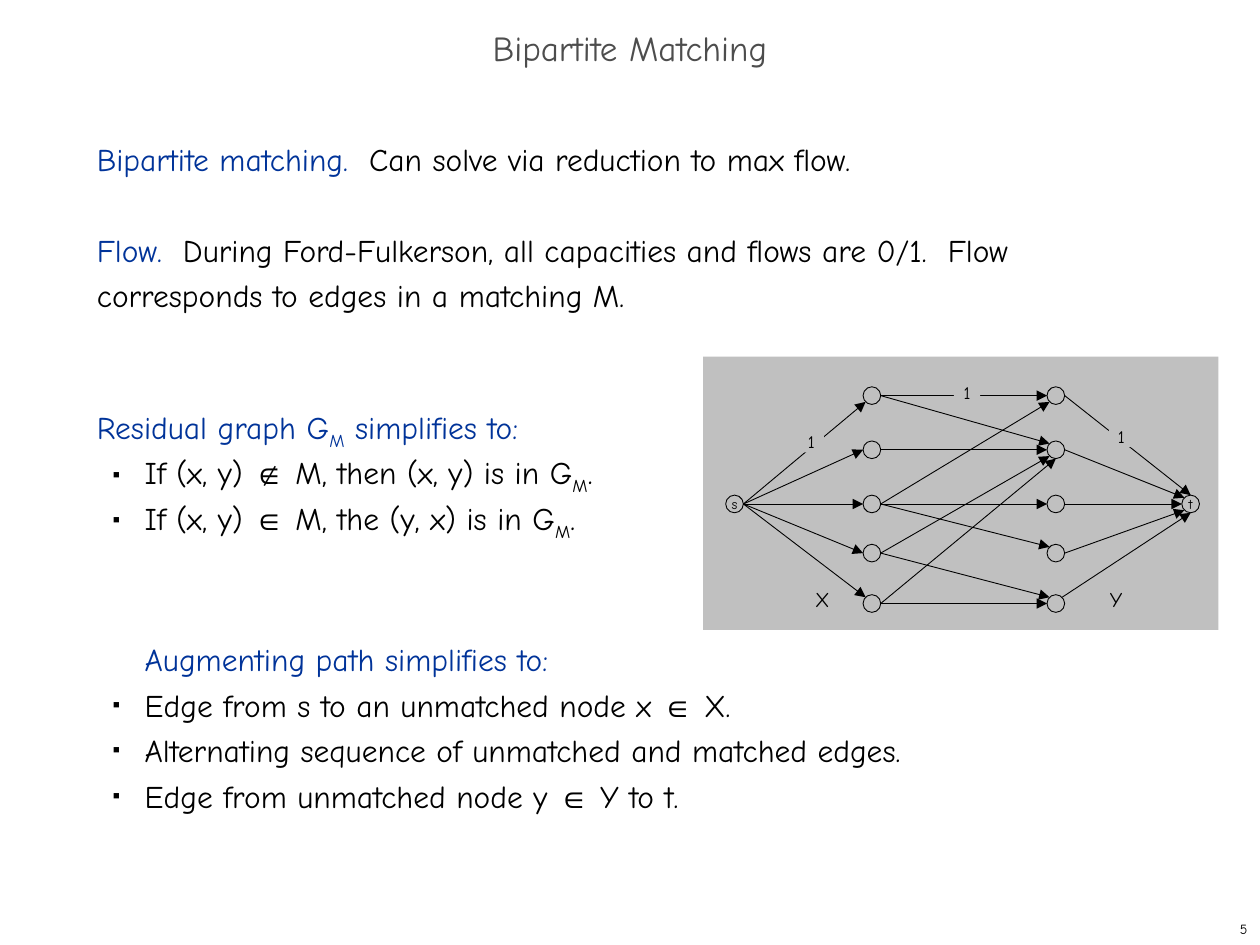
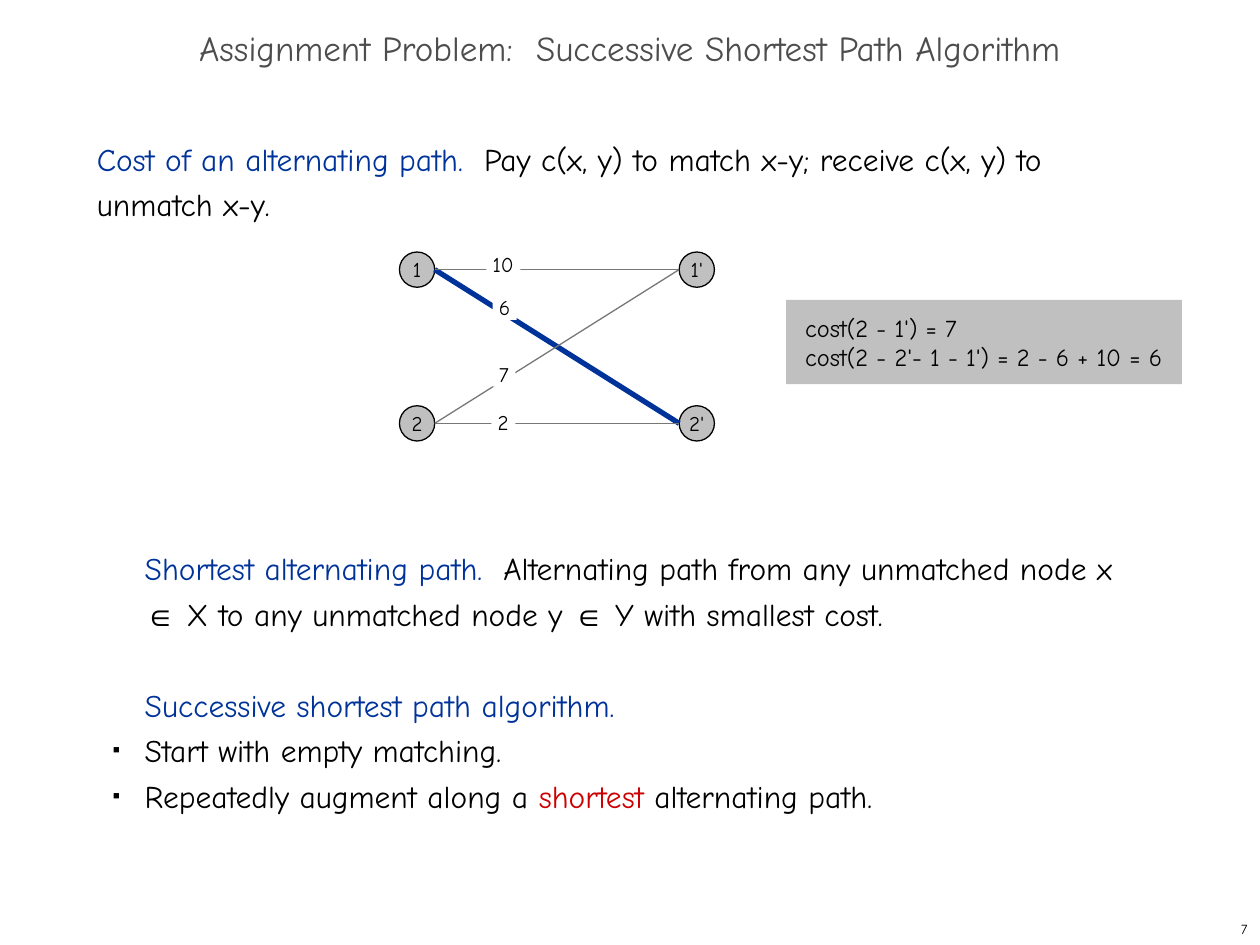
import dataclasses
import enum
import typing

import lxml.etree
import pptx
import pptx.dml.color
import pptx.enum.shapes
import pptx.enum.text
import pptx.oxml.ns
import pptx.slide
import pptx.text.text
import pptx.util

RGB = pptx.dml.color.RGBColor
Preset = pptx.enum.shapes.MSO_SHAPE
Align = pptx.enum.text.PP_ALIGN
Anchor = pptx.enum.text.MSO_ANCHOR
AutoSize = pptx.enum.text.MSO_AUTO_SIZE
qn = pptx.oxml.ns.qn

BLACK = RGB(0x00, 0x00, 0x00)
WHITE = RGB(0xFF, 0xFF, 0xFF)
SILVER = RGB(0xC0, 0xC0, 0xC0)
TITLE_GRAY = RGB(0x4D, 0x4D, 0x4D)
EDGE_GRAY = RGB(0x77, 0x77, 0x77)
TERM_BLUE = RGB(0x00, 0x33, 0x99)
ACCENT_RED = RGB(0xCC, 0x00, 0x00)

HAND_FONT = "Comic Neue"
SYMBOL_FONT = "Arial"
BODY_LINE = 26
SLIDE_WIDTH = pptx.util.Inches(10)
SLIDE_HEIGHT = pptx.util.Inches(7.5)
COLUMN = SLIDE_WIDTH / 100
ROW = SLIDE_HEIGHT / 75


class Box(typing.NamedTuple):
    column: float
    row: float
    columns: float
    rows: float


class Span(typing.NamedTuple):
    text: str
    color: RGB = BLACK
    font: str = HAND_FONT
    subscript: bool = False


@dataclasses.dataclass(frozen=True)
class Statement:
    spans: tuple[Span, ...]
    blank_lines_above: int = 0
    indented: bool = False
    bulleted: bool = False


@dataclasses.dataclass(frozen=True)
class Look:
    size: float
    color: RGB = BLACK
    align: Align = Align.LEFT
    anchor: Anchor = Anchor.TOP
    inset: tuple[float, float] = (0.1, 0.05)
    wrap: bool = False
    grow: bool = False
    fill: typing.Optional[RGB] = None
    outline: float = 0
    line_spacing: float = 1.0


class Side(enum.Enum):
    TOP = (0, -1)
    LEFT = (-1, 0)
    BOTTOM = (0, 1)
    RIGHT = (1, 0)
    UPPER_LEFT = (-0.71, -0.71)
    LOWER_LEFT = (-0.71, 0.71)
    UPPER_RIGHT = (0.71, -0.71)


class Node(typing.NamedTuple):
    column: float
    row: float
    radius: float
    label: str = ""

    def box(self) -> Box:
        return Box(self.column - self.radius, self.row - self.radius,
                   2 * self.radius, 2 * self.radius)

    def point(self, side: Side) -> tuple[int, int]:
        across, down = side.value
        return (round((self.column + across * self.radius) * COLUMN),
                round((self.row + down * self.radius) * ROW))


class Edge(typing.NamedTuple):
    start: str
    end: str
    arrival: Side = Side.LEFT
    departure: Side = Side.RIGHT
    color: RGB = BLACK
    width: float = 0.5
    arrow: bool = True


TITLE = Look(20, TITLE_GRAY, Align.CENTER, Anchor.MIDDLE, wrap=True, line_spacing=0.7)
PAGE_NUMBER = Look(8, align=Align.RIGHT, anchor=Anchor.MIDDLE, wrap=True)
BODY = Look(18, wrap=True)
PANEL = Look(12, fill=SILVER)
FLOW_NODE = Look(8, align=Align.CENTER, anchor=Anchor.MIDDLE, fill=SILVER, outline=0.5)
CAPACITY = Look(10, align=Align.CENTER, inset=(0, 0), wrap=True, grow=True, fill=SILVER)
PART_NAME = Look(12, grow=True)
MATCH_NODE = Look(12, align=Align.CENTER, anchor=Anchor.MIDDLE, fill=SILVER, outline=0.75)
COST = Look(12, inset=(0.05, 0), grow=True, fill=WHITE)
COST_SUMMARY = Look(14, anchor=Anchor.MIDDLE, inset=(0.15, 0.1), grow=True, fill=SILVER)

IN = Span("∈", font=SYMBOL_FONT)
NOT_IN = Span("∉", font=SYMBOL_FONT)
SUB_M = Span("M", subscript=True)

MATCHING_BODY = (
    Statement((Span("Bipartite matching.  ", TERM_BLUE),
               Span("Can solve via reduction to max flow."))),
    Statement((Span("Flow.  ", TERM_BLUE),
               Span("During Ford-Fulkerson, all capacities and flows are 0/1.  "
                    "Flow corresponds to edges in a matching M.")), 1),
    Statement((Span("Residual graph G", TERM_BLUE), SUB_M._replace(color=TERM_BLUE),
               Span(" simplifies to:", TERM_BLUE)), 2),
    Statement((Span("If (x, y) "), NOT_IN, Span(" M, then (x, y) is in G"), SUB_M,
               Span(".")), bulleted=True),
    Statement((Span("If (x, y) "), IN, Span(" M, the (y, x) is in G"), SUB_M,
               Span(".")), bulleted=True),
    Statement((Span("Augmenting path simplifies to:", TERM_BLUE),), 2, indented=True),
    Statement((Span("Edge from s to an unmatched node x "), IN, Span(" X.")), bulleted=True),
    Statement((Span("Alternating sequence of unmatched and matched edges."),), bulleted=True),
    Statement((Span("Edge from unmatched node y "), IN, Span(" Y to t.")), bulleted=True),
)

ASSIGNMENT_BODY = (
    Statement((Span("Cost of an alternating path.  ", TERM_BLUE),
               Span("Pay c(x, y) to match x-y; receive c(x, y) to unmatch x-y."))),
    Statement((Span("Shortest alternating path.  ", TERM_BLUE),
               Span("Alternating path from any unmatched node x "), IN,
               Span(" X to any unmatched node y "), IN, Span(" Y with smallest cost.")),
              7, indented=True),
    Statement((Span("Successive shortest path algorithm.", TERM_BLUE),), 1, indented=True),
    Statement((Span("Start with empty matching."),), bulleted=True),
    Statement((Span("Repeatedly augment along a "), Span("shortest", ACCENT_RED),
               Span(" alternating path.")), bulleted=True),
)

FLOW_ROWS = (31.4, 35.7, 40, 43.9, 47.9)
FLOW_NODES = {"s": Node(58.3, 40, 0.7, "s"), "t": Node(94.5, 40, 0.7, "t")} | {
    f"{part}{position}": Node(column, row, 0.7)
    for part, column in (("x", 69.2), ("y", 83.8))
    for position, row in enumerate(FLOW_ROWS, 1)
}
FLOW_EDGES = (
    Edge("s", "x1", Side.LOWER_LEFT), Edge("s", "x2"), Edge("s", "x3"),
    Edge("s", "x4"), Edge("s", "x5", Side.UPPER_LEFT),
    Edge("x1", "y1"), Edge("x1", "y2", Side.UPPER_LEFT), Edge("x2", "y2"),
    Edge("x3", "y1", Side.LOWER_LEFT), Edge("x3", "y3"), Edge("x3", "y4", Side.UPPER_LEFT),
    Edge("x4", "y2", Side.LOWER_LEFT), Edge("x4", "y5", Side.UPPER_LEFT),
    Edge("x5", "y2", Side.BOTTOM), Edge("x5", "y5"),
    Edge("y1", "t", Side.TOP), Edge("y2", "t", Side.UPPER_LEFT), Edge("y3", "t"),
    Edge("y4", "t", Side.LOWER_LEFT), Edge("y5", "t", Side.BOTTOM, Side.UPPER_RIGHT),
)
CAPACITY_BOXES = (Box(63.4, 34.2, 2, 1.7), Box(88, 33.8, 2, 1.7), Box(75.7, 30.3, 2.1, 1.7))
PART_NAMES = {"X": Box(63.7, 46.1, 3.2, 3), "Y": Box(87.1, 46.1, 3, 3)}

MATCH_NODES = {
    label + prime: Node(column, row, 1.4, label + prime)
    for prime, column in (("", 33.1), ("'", 55.3))
    for label, row in (("1", 21.4), ("2", 33.6))
}
MATCH_EDGES = (Edge("1", "2'", color=TERM_BLUE, width=3, arrow=False),) + tuple(
    Edge(start, end, color=EDGE_GRAY, width=0.75, arrow=False)
    for start, end in (("1", "1'"), ("2", "2'"), ("2", "1'"))
)
COSTS = {
    "10": Box(38.6, 20, 2.7, 2),
    "6": Box(39.1, 23.4, 1.9, 2),
    "7": Box(39.1, 28.7, 1.8, 2),
    "2": Box(39, 32.5, 1.9, 2),
}


def format_run(run: pptx.text.text._Run, size: float, color: RGB, font: str) -> None:
    run.font.size = pptx.util.Pt(size)
    run.font.color.rgb = color
    run.font.name = font


def place(slide: pptx.slide.Slide, box: Box, text: str, look: Look,
          preset: Preset = Preset.RECTANGLE) -> pptx.text.text.TextFrame:
    bounds = [round(length * unit) for length, unit in zip(box, (COLUMN, ROW) * 2)]
    if look.fill is None:
        holder = slide.shapes.add_textbox(*bounds)
    else:
        holder = slide.shapes.add_shape(preset, *bounds)
        holder.shadow.inherit = False
        holder.fill.solid()
        holder.fill.fore_color.rgb = look.fill
        if look.outline:
            holder.line.color.rgb = BLACK
            holder.line.width = pptx.util.Pt(look.outline)
        else:
            holder.line.fill.background()
    frame = holder.text_frame
    frame.text = text
    frame.word_wrap = look.wrap
    frame.auto_size = AutoSize.SHAPE_TO_FIT_TEXT if look.grow else AutoSize.NONE
    frame.vertical_anchor = look.anchor
    frame.margin_left = frame.margin_right = pptx.util.Inches(look.inset[0])
    frame.margin_top = frame.margin_bottom = pptx.util.Inches(look.inset[1])
    for paragraph in frame.paragraphs:
        paragraph.alignment = look.align
        paragraph.line_spacing = look.line_spacing
        for run in paragraph.runs:
            format_run(run, look.size, look.color, HAND_FONT)
    return frame


def add_bullet(paragraph: pptx.text.text._Paragraph) -> None:
    properties = paragraph._p.get_or_add_pPr()
    tint = lxml.etree.SubElement(properties, qn("a:buClr"))
    lxml.etree.SubElement(tint, qn("a:srgbClr"), val=str(BLACK))
    lxml.etree.SubElement(properties, qn("a:buSzPct"), val="35000")
    lxml.etree.SubElement(properties, qn("a:buFont"), typeface=SYMBOL_FONT)
    lxml.etree.SubElement(properties, qn("a:buChar"), char="■")


def write_body(slide: pptx.slide.Slide, statements: tuple[Statement, ...]) -> None:
    frame = place(slide, Box(6.7, 10, 85.8, 59.2), "", BODY)
    for position, statement in enumerate(statements):
        paragraph = frame.add_paragraph() if position else frame.paragraphs[0]
        paragraph.line_spacing = pptx.util.Pt(BODY_LINE)
        paragraph.space_before = pptx.util.Pt(BODY_LINE * statement.blank_lines_above)
        properties = paragraph._p.get_or_add_pPr()
        if statement.indented or statement.bulleted:
            properties.set("marL", str(pptx.util.Inches(0.38)))
        if statement.bulleted:
            properties.set("indent", str(pptx.util.Inches(-0.25)))
            add_bullet(paragraph)
        for span in statement.spans:
            run = paragraph.add_run()
            run.text = span.text
            format_run(run, BODY.size, span.color, span.font)
            if span.subscript:
                run._r.get_or_add_rPr().set("baseline", "-25000")


def draw_graph(slide: pptx.slide.Slide, nodes: dict[str, Node],
               edges: tuple[Edge, ...], look: Look) -> None:
    for node in nodes.values():
        place(slide, node.box(), node.label, look, Preset.OVAL)
    for edge in edges:
        link = slide.shapes.add_connector(
            pptx.enum.shapes.MSO_CONNECTOR.STRAIGHT,
            *nodes[edge.start].point(edge.departure), *nodes[edge.end].point(edge.arrival))
        link.line.color.rgb = edge.color
        link.line.width = pptx.util.Pt(edge.width)
        if edge.arrow:
            lxml.etree.SubElement(link.line._get_or_add_ln(), qn("a:tailEnd"), type="triangle")
        lxml.etree.SubElement(link._element.spPr, qn("a:effectLst"))


def start_slide(deck: pptx.presentation.Presentation, title: str, number: int,
                statements: tuple[Statement, ...]) -> pptx.slide.Slide:
    slide = deck.slides.add_slide(deck.slide_layouts[6])
    write_body(slide, statements)
    place(slide, Box(0, 1.7, 100, 5), title, TITLE)
    place(slide, Box(79.2, 72.5, 20.8, 2.5), str(number), PAGE_NUMBER)
    return slide


def main() -> None:
    deck = pptx.Presentation()
    deck.slide_width, deck.slide_height = SLIDE_WIDTH, SLIDE_HEIGHT

    matching = start_slide(deck, "Bipartite Matching", 5, MATCHING_BODY)
    place(matching, Box(55.8, 28.3, 40.9, 21.7), "", PANEL)
    draw_graph(matching, FLOW_NODES, FLOW_EDGES, FLOW_NODE)
    for box in CAPACITY_BOXES:
        place(matching, box, "1", CAPACITY)
    for part, box in PART_NAMES.items():
        place(matching, box, part, PART_NAME)

    assignment = start_slide(
        deck, "Assignment Problem:  Successive Shortest Path Algorithm", 7, ASSIGNMENT_BODY)
    draw_graph(assignment, MATCH_NODES, MATCH_EDGES, MATCH_NODE)
    for cost, box in COSTS.items():
        place(assignment, box, cost, COST)
    place(assignment, Box(62.4, 23.8, 31.4, 6.7),
          "cost(2 - 1') = 7\ncost(2 - 2'- 1 - 1') = 2 - 6 + 10 = 6", COST_SUMMARY)

    deck.save("out.pptx")


if __name__ == "__main__":
    main()
